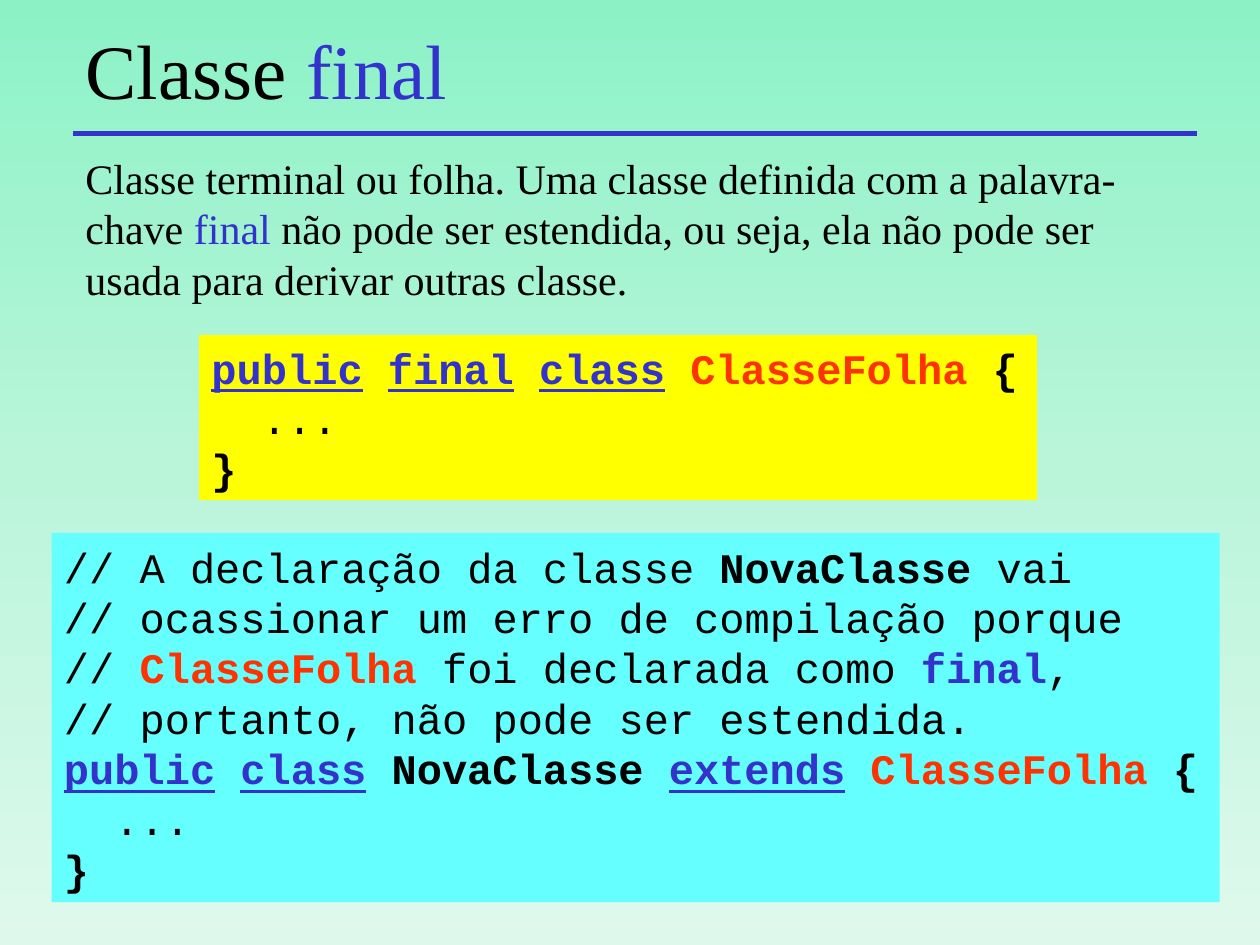
import copy

import pptx
import pptx.dml.color
import pptx.enum.dml
import pptx.enum.shapes
import pptx.enum.text
import pptx.oxml
import pptx.oxml.ns
import pptx.util

Inches = pptx.util.Inches
Anchor = pptx.enum.text.MSO_ANCHOR

BLACK, BLUE, RED = "000000", "3333CC", "FF3300"
YELLOW, CYAN = "FFFF00", "66FFFF"
SERIF, MONO = "Times New Roman", "Courier New"

# Run formats used in the code listings
PLAIN = {}
BOLD = {"bold": True}
KEYWORD = {"bold": True, "color": BLUE}
UNDERLINED = {"bold": True, "color": BLUE, "underline": True}
CLASS_NAME = {"bold": True, "color": RED}


def rgb(color):
    return pptx.dml.color.RGBColor.from_string(color)


def add_run(paragraph, text, font=SERIF, size=24, color=BLACK, bold=False, underline=False):
    run = paragraph.add_run()
    run.text = text
    run.font.name = font
    run.font.size = pptx.util.Pt(size)
    run.font.color.rgb = rgb(color)
    run.font.bold = bold
    run.font.underline = underline


def write(frame, lines, wrap=True, anchor=Anchor.TOP, grow=True, **base):
    """Fill a frame with lines, each a list of (text, format) pairs."""
    frame.word_wrap = wrap
    frame.vertical_anchor = anchor
    sizing = pptx.enum.text.MSO_AUTO_SIZE
    frame.auto_size = sizing.SHAPE_TO_FIT_TEXT if grow else sizing.NONE
    for index, line in enumerate(lines):
        paragraph = frame.add_paragraph() if index else frame.paragraphs[0]
        paragraph.alignment = pptx.enum.text.PP_ALIGN.LEFT
        for text, style in line:
            add_run(paragraph, text, **{**base, **style})


class SlideBuilder:
    def __init__(self, slide):
        self.slide = slide

    def background(self, stops):
        fill = self.slide.background.fill
        fill.gradient()
        fill.gradient_angle = 270
        stop_list = self.slide.element.find(".//" + pptx.oxml.ns.qn("a:gsLst"))
        while len(stop_list) < len(stops):
            stop_list.append(copy.deepcopy(stop_list[0]))
        for stop, (position, color) in zip(fill.gradient_stops, stops):
            stop.position = position
            stop.color.rgb = rgb(color)

    def title(self, line, left, top, width, height):
        title = self.slide.shapes.title
        title.left, title.top = Inches(left), Inches(top)
        title.width, title.height = Inches(width), Inches(height)
        write(title.text_frame, [line], anchor=Anchor.MIDDLE, grow=False, size=44)

    def paragraph(self, line, left, top, width, height):
        box = self.slide.shapes.add_textbox(
            Inches(left), Inches(top), Inches(width), Inches(height))
        write(box.text_frame, [line])

    def rule(self, left, right, y):
        rule = self.slide.shapes.add_connector(
            pptx.enum.shapes.MSO_CONNECTOR.STRAIGHT,
            Inches(left), Inches(y), Inches(right), Inches(y))
        rule.line.color.rgb = rgb(BLUE)
        rule.line.width = pptx.util.Pt(3)
        rule._element.spPr.append(pptx.oxml.parse_xml(
            "<a:effectLst %s/>" % pptx.oxml.ns.nsdecls("a")))

    def code(self, lines, fill, left, top, width, height):
        panel = self.slide.shapes.add_shape(
            pptx.enum.shapes.MSO_SHAPE.RECTANGLE,
            Inches(left), Inches(top), Inches(width), Inches(height))
        panel.shadow.inherit = False
        panel.fill.solid()
        panel.fill.fore_color.rgb = rgb(fill)
        panel.line.fill.background()
        write(panel.text_frame, lines, wrap=False, anchor=Anchor.MIDDLE, font=MONO)


def main():
    deck = pptx.Presentation()
    deck.slide_width, deck.slide_height = Inches(10), Inches(7.5)
    builder = SlideBuilder(deck.slides.add_slide(deck.slide_layouts[5]))
    margin = 0.58

    builder.background([(0, "8CF2C6"), (0.5, "BAF5DA"), (1, "DEF9EC")])
    builder.title([("Classe ", PLAIN), ("final", {"color": BLUE})], margin, 0.17, 8.5, 0.75)
    builder.paragraph([
        ("Classe terminal ou folha. Uma classe definida com a palavra-chave ", PLAIN),
        ("final", {"color": BLUE}),
        (" não pode ser estendida, ou seja, ela não pode ser usada para derivar "
         "outras classe.", PLAIN),
    ], margin, 1.16, 8.92, 1.3)
    builder.rule(margin, 9.5, 1.06)

    space = (" ", PLAIN)
    public, class_word = ("public", UNDERLINED), ("class", UNDERLINED)
    leaf_opening = [("ClasseFolha ", CLASS_NAME), ("{", BOLD)]
    class_body = [[("  ...", PLAIN)], [("}", BOLD)]]

    builder.code([
        [public, space, ("final", UNDERLINED), space, class_word, space, *leaf_opening],
        *class_body,
    ], YELLOW, 1.58, 2.66, 6.65, 1.31)

    builder.code([
        [("// A declaração da classe ", PLAIN), ("NovaClasse", BOLD), (" vai", PLAIN)],
        [("// ocassionar um erro de compilação porque", PLAIN)],
        [("// ", PLAIN), ("ClasseFolha", CLASS_NAME), (" foi declarada como ", PLAIN),
         ("final", KEYWORD), (",", PLAIN)],
        [("// portanto, não pode ser estendida.", PLAIN)],
        [public, space, class_word, space, ("NovaClasse ", BOLD),
         ("extends", UNDERLINED), space, *leaf_opening],
        *class_body,
    ], CYAN, 0.41, 4.23, 9.27, 2.93)

    deck.save("out.pptx")


if __name__ == "__main__":
    main()
